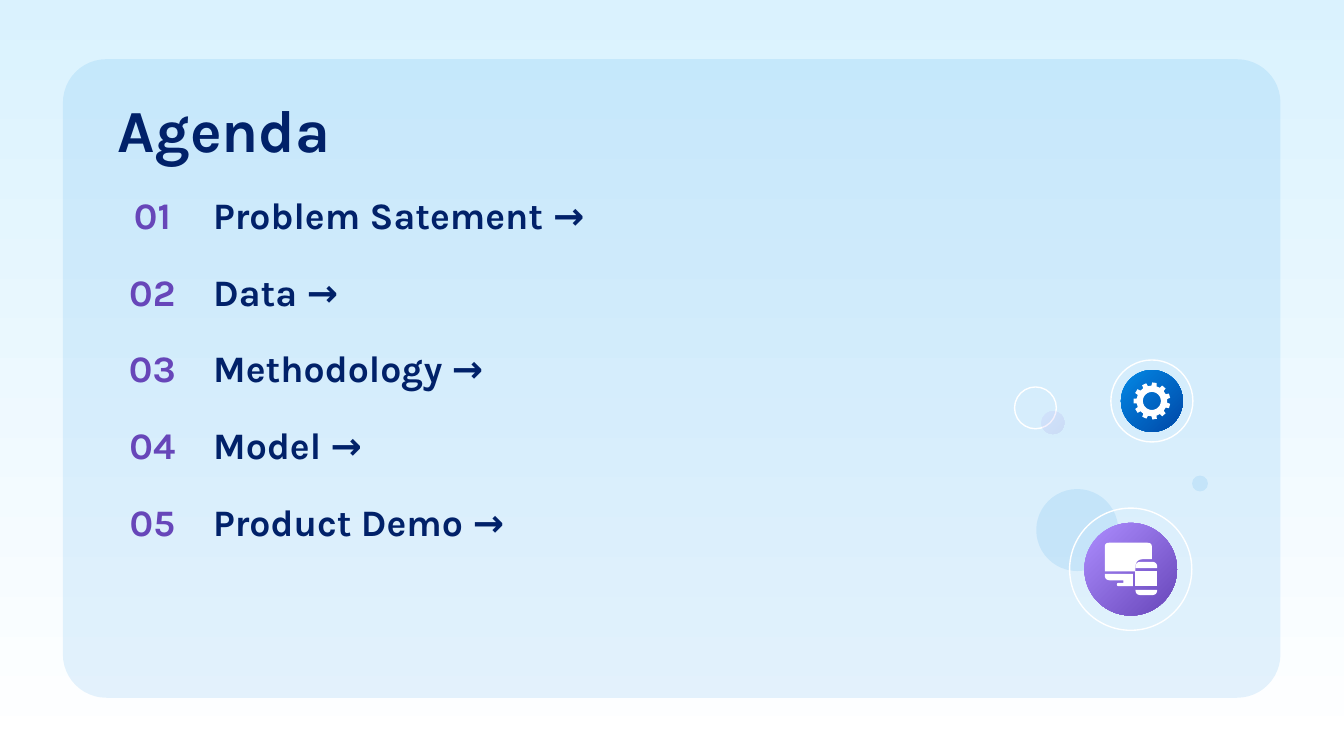
from math import cos, dist, radians, sin

from lxml.etree import SubElement
from pptx import Presentation
from pptx.dml.color import RGBColor
from pptx.enum.shapes import MSO_SHAPE
from pptx.enum.text import MSO_ANCHOR, PP_ALIGN
from pptx.oxml.ns import qn
from pptx.util import Cm, Pt

WHITE = RGBColor(0xFF, 0xFF, 0xFF)
SKY = RGBColor(0xDA, 0xF2, 0xFE)
BLUE = RGBColor(0x03, 0x88, 0xE5)
DEEP = RGBColor(0x00, 0x48, 0xA7)
NAVY = RGBColor(0x01, 0x21, 0x69)
LILAC = RGBColor(0xAD, 0x8D, 0xFF)
PURPLE = RGBColor(0x67, 0x46, 0xB9)
FONT = "Karla"


def round_off(corners, steps=6):
    """Points of an outline whose corners are (x, y) or (x, y, radius)."""
    points = []
    for i, (x, y, *size) in enumerate(corners):
        if not size:
            points.append((x, y))
            continue
        ends = []
        for near in (corners[i - 1], corners[(i + 1) % len(corners)]):
            part = size[0] / dist((x, y), near[:2])
            ends.append((x + (near[0] - x) * part, y + (near[1] - y) * part))
        (ax, ay), (bx, by) = ends
        for k in range(steps + 1):
            t = k / steps
            u = 1 - t
            points.append((u * u * ax + 2 * u * t * x + t * t * bx,
                           u * u * ay + 2 * u * t * y + t * t * by))
    return points


def polar(x, y, radius, angle):
    turn = radians(angle)
    return x + radius * sin(turn), y - radius * cos(turn)


def gear(x, y, teeth=11):
    """Rim and hole of a gear wheel."""
    rim = [polar(x, y, radius, 8 + 360 * n / teeth + shift)
           for n in range(teeth)
           for radius, shift in ((0.29, -9.5), (0.35, -7), (0.35, 7), (0.29, 9.5))]
    hole = [polar(x, y, 0.17, -10 * n) for n in range(36)]
    return rim, hole


class Deck:
    def __init__(self):
        self.file = Presentation()
        self.file.slide_width = Cm(25.4)
        self.file.slide_height = Cm(14.29)
        self.slide = self.file.slides.add_slide(self.file.slide_layouts[6])
        self.shapes = self.slide.shapes

    def group(self):
        self.shapes = self.slide.shapes.add_group_shape().shapes

    def ungroup(self):
        self.shapes = self.slide.shapes

    def blend(self, fill, colors, angle):
        fill.gradient()
        fill.gradient_angle = angle
        for stop, color in zip(fill.gradient_stops, colors):
            stop.color.rgb = color

    def paint(self, shape, colors=(), alpha=None, line=None):
        shape.shadow.inherit = False
        if len(colors) == 2:
            self.blend(shape.fill, colors, 315)
        elif colors:
            shape.fill.solid()
            shape.fill.fore_color.rgb = colors[0]
        else:
            shape.fill.background()
        if alpha:
            for color in shape._element.spPr.iter(qn("a:srgbClr")):
                SubElement(color, qn("a:alpha")).set("val", str(alpha * 1000))
        if line:
            shape.line.color.rgb = line
            shape.line.width = Pt(0.75)
        else:
            shape.line.fill.background()

    def panel(self, x, y, wide, high):
        shape = self.shapes.add_shape(
            MSO_SHAPE.ROUNDED_RECTANGLE, Cm(x), Cm(y), Cm(wide), Cm(high))
        shape.adjustments[0] = 0.068
        self.paint(shape, [BLUE], 10)

    def disc(self, x, y, size, *colors, alpha=None, line=None):
        shape = self.shapes.add_shape(
            MSO_SHAPE.OVAL, Cm(x - size / 2), Cm(y - size / 2), Cm(size), Cm(size))
        self.paint(shape, colors, alpha, line)

    def ring(self, x, y, size):
        self.disc(x, y, size, line=WHITE)

    def icon(self, *loops):
        pen = None
        for loop in loops:
            first, *rest = [(Cm(x), Cm(y)) for x, y in loop]
            if pen is None:
                pen = self.shapes.build_freeform(*first)
            else:
                pen.move_to(*first)
            pen.add_line_segments(rest, close=True)
        self.paint(pen.convert_to_shape(), [WHITE])

    def text(self, words, x, y, wide, high, color, size=20,
             align=PP_ALIGN.LEFT, anchor=MSO_ANCHOR.MIDDLE):
        frame = self.shapes.add_textbox(Cm(x), Cm(y), Cm(wide), Cm(high)).text_frame
        frame.word_wrap = True
        frame.vertical_anchor = anchor
        frame.margin_left = frame.margin_right = Cm(0.25)
        frame.margin_top = frame.margin_bottom = Cm(0.25)
        line = frame.paragraphs[0]
        line.text = words
        line.alignment = align
        line.font.name = FONT
        line.font.size = Pt(size)
        line.font.bold = True
        line.font.color.rgb = color


def main():
    deck = Deck()

    # Backdrop
    deck.blend(deck.slide.background.fill, (WHITE, SKY), 90)
    deck.panel(1.19, 1.12, 23.01, 12.07)

    # Agenda list
    deck.text("Agenda", 1.98, 1.5, 21.44, 1.85, NAVY, 32, anchor=MSO_ANCHOR.TOP)
    topics = ("Problem Satement", "Data", "Methodology", "Model", "Product Demo")
    step = 1.45
    for n, topic in enumerate(topics):
        top = 3.33 + n * step
        deck.text(f"{n + 1:02}", 1.98, top, 1.8, step, PURPLE, align=PP_ALIGN.CENTER)
        deck.text(f"{topic} →", 3.78, top, 19.63, step, NAVY)

    # Devices badge
    deck.disc(20.36, 10.02, 1.55, BLUE, alpha=10)
    deck.group()
    deck.ring(21.37, 10.76, 2.31)
    deck.disc(21.37, 10.76, 1.75, LILAC, PURPLE)
    left, right = 21.46, 21.87
    phone = (
        [(left, 10.8), (right, 10.8), (right, 11.07), (left, 11.07)],
        [(left, 11.15), (right, 11.15), (right, 11.25, 0.1), (left, 11.25, 0.1)],
        [(left, 10.62, 0.1), (right, 10.62, 0.1), (right, 10.74), (left, 10.74)],
    )
    stand = [(20.88, 10.85), (21.41, 10.85), (21.41, 11.08), (21.11, 11.08, 0.03),
             (21.11, 11.02, 0.03), (21.23, 11.02), (21.23, 10.97), (20.88, 10.97, 0.1)]
    screen = [(20.88, 10.26, 0.08), (21.77, 10.26, 0.08), (21.77, 10.57),
              (left, 10.57, 0.15), (left, 10.8), (20.88, 10.8)]
    for part in (*phone, stand, screen):
        deck.icon(round_off(part))
    deck.ungroup()

    # Small bubbles
    deck.ring(19.57, 7.71, 0.79)
    deck.disc(19.9, 7.99, 0.43, LILAC, PURPLE, alpha=10)

    # Gear badge
    deck.group()
    deck.ring(21.77, 7.58, 1.55)
    deck.disc(21.77, 7.58, 1.17, BLUE, DEEP)
    deck.icon(*gear(21.77, 7.58))
    deck.ungroup()
    deck.disc(22.68, 9.14, 0.3, BLUE, alpha=10)

    deck.file.save("out.pptx")


if __name__ == "__main__":
    main()
